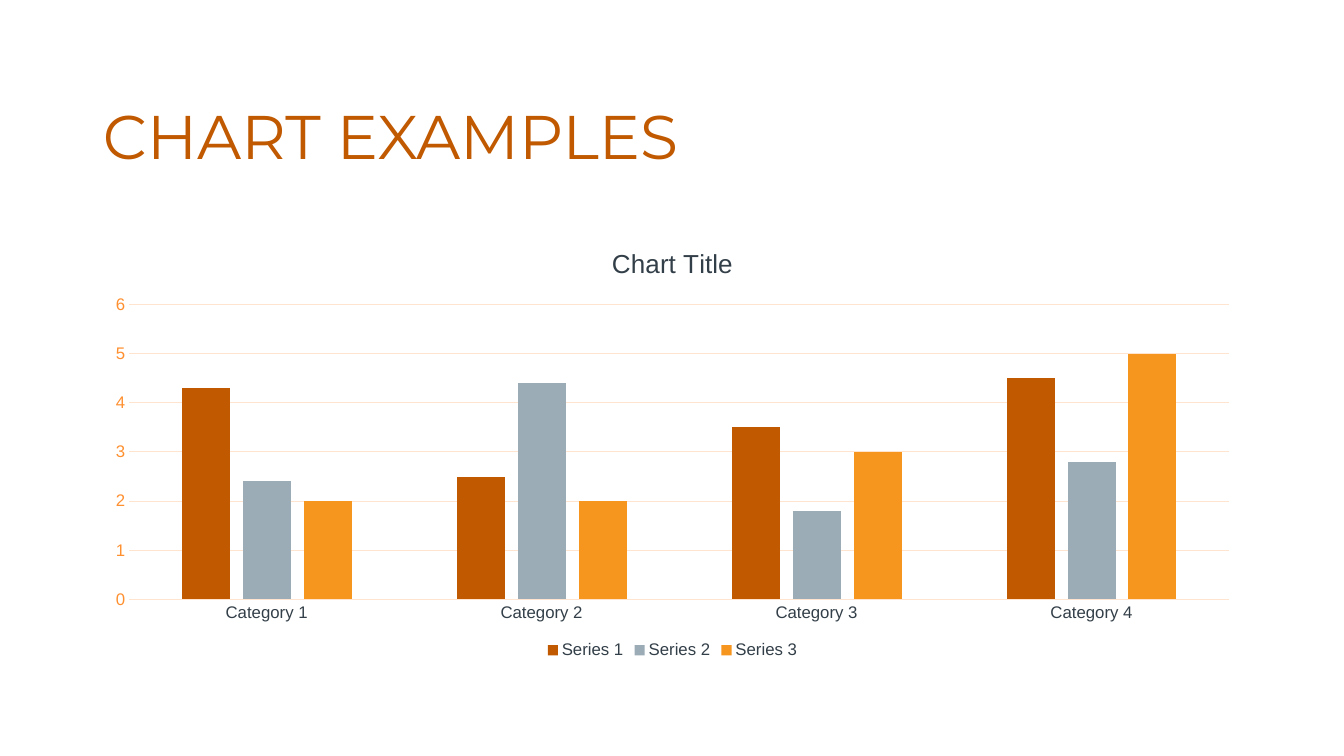
from pptx import Presentation
from pptx.chart.data import CategoryChartData
from pptx.dml.color import RGBColor
from pptx.enum.chart import XL_CHART_TYPE, XL_LEGEND_POSITION, XL_TICK_MARK
from pptx.enum.text import MSO_ANCHOR, PP_ALIGN
from pptx.util import Inches, Pt

CLUSTERED = XL_CHART_TYPE.COLUMN_CLUSTERED
BOTTOM = XL_LEGEND_POSITION.BOTTOM
NO_TICK = XL_TICK_MARK.NONE
MIDDLE = MSO_ANCHOR.MIDDLE
LEFT = PP_ALIGN.LEFT

RUST, STEEL, AMBER = "C05900", "9CACB6", "F7961F"
SLATE, ORANGE, PEACH = "333F48", "FF9030", "FFE5CF"

CATEGORIES = [f"Category {number}" for number in range(1, 5)]
SERIES = [
    ("Series 1", (4.3, 2.5, 3.5, 4.5), RUST),
    ("Series 2", (2.4, 4.4, 1.8, 2.8), STEEL),
    ("Series 3", (2, 2, 3, 5), AMBER),
]


def rgb(value):
    return RGBColor.from_string(value)


def style_font(font, size=12, color=SLATE, name="Arial"):
    font.size = Pt(size)
    font.name = name
    font.bold = False
    font.color.rgb = rgb(color)


def write(frame, text, align=None, spacing=None, **style):
    paragraph = frame.paragraphs[0]
    paragraph.alignment = align
    paragraph.line_spacing = spacing
    run = paragraph.add_run()
    run.text = text
    style_font(run.font, **style)


class Deck:
    left, width = 0.92, 11.5

    def __init__(self):
        self.presentation = Presentation()
        self.presentation.slide_width = Inches(13.33)
        self.presentation.slide_height = Inches(7.5)
        layout = self.presentation.slide_layouts[5]
        self.slide = self.presentation.slides.add_slide(layout)

    def box(self, top, height):
        return [Inches(value) for value in (self.left, top, self.width, height)]

    def title(self, text, top, height):
        heading = self.slide.shapes.title
        heading.left, heading.top, heading.width, heading.height = self.box(top, height)
        heading.text_frame.vertical_anchor = MIDDLE
        heading.text_frame.word_wrap = True
        write(heading.text_frame, text, align=LEFT, spacing=0.9,
              size=44, color=RUST, name="Montserrat")

    def style_line(self, line):
        line.color.rgb = rgb(PEACH)
        line.width = Pt(0.75)

    def column_chart(self, title, top, height):
        data = CategoryChartData()
        data.categories = CATEGORIES
        for name, values, _ in SERIES:
            data.add_series(name, values)
        chart = self.slide.shapes.add_chart(CLUSTERED, *self.box(top, height), data).chart
        style_font(chart.font, size=10, color=RUST)
        write(chart.chart_title.text_frame, title, size=18.6)
        chart.chart_title.include_in_layout = False

        plot = chart.plots[0]
        plot.gap_width = 219
        plot.overlap = -27
        plot.vary_by_categories = False
        for series, (_, _, color) in zip(plot.series, SERIES):
            series.invert_if_negative = False
            series.format.fill.solid()
            series.format.fill.fore_color.rgb = rgb(color)

        for axis, color in ((chart.category_axis, SLATE), (chart.value_axis, ORANGE)):
            axis.major_tick_mark = axis.minor_tick_mark = NO_TICK
            style_font(axis.tick_labels.font, color=color)
        self.style_line(chart.category_axis.format.line)
        scale = chart.value_axis
        scale.minimum_scale, scale.maximum_scale, scale.major_unit = 0, 6, 1
        scale.format.line.fill.background()
        self.style_line(scale.major_gridlines.format.line)

        chart.has_legend = True
        chart.legend.position = BOTTOM
        chart.legend.include_in_layout = False
        style_font(chart.legend.font)


def main():
    deck = Deck()
    deck.title("CHART EXAMPLES", top=0.66, height=1.45)
    deck.column_chart("Chart Title", top=2.26, height=4.32)
    deck.presentation.save("out.pptx")


if __name__ == "__main__":
    main()
